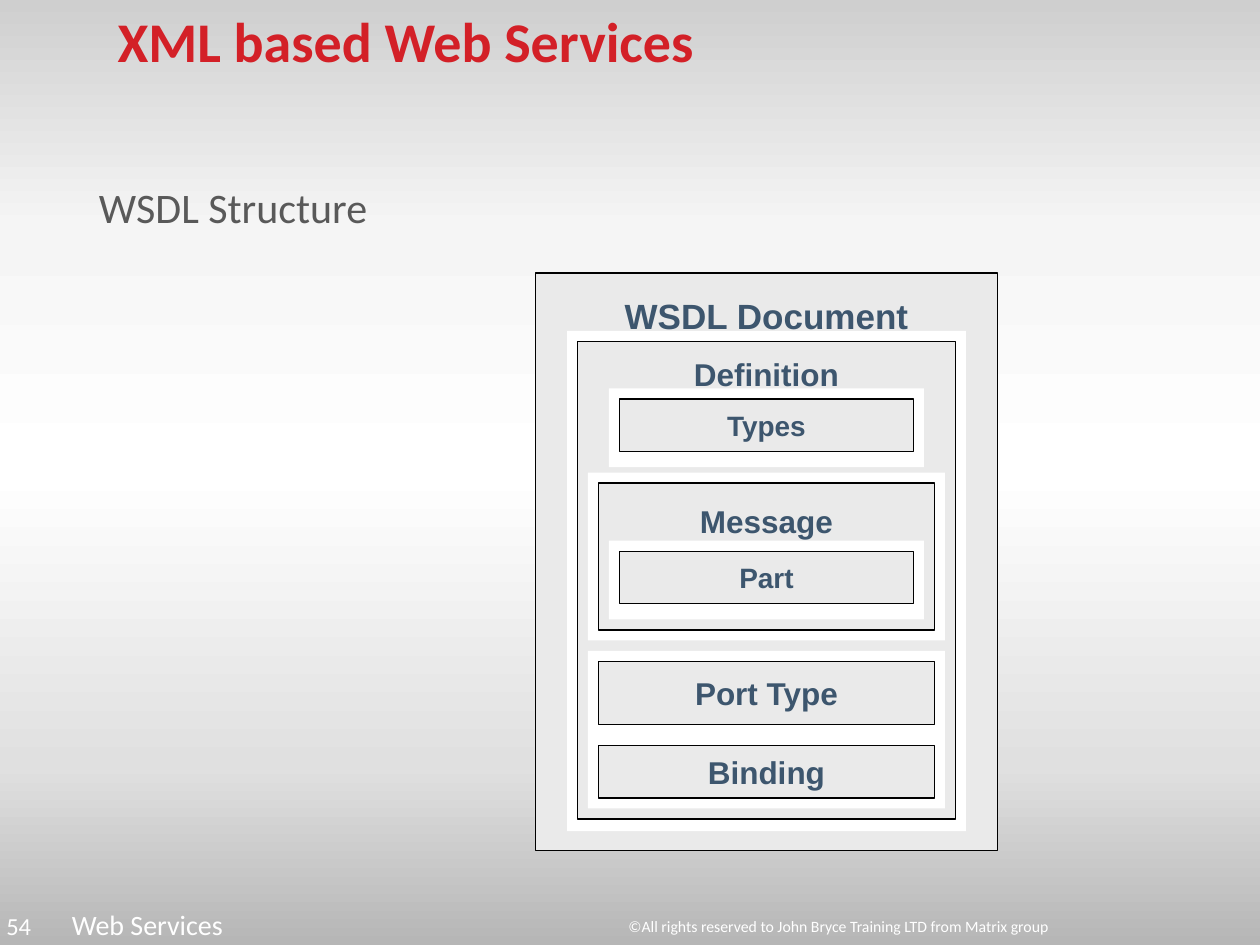
from dataclasses import dataclass
from typing import Optional

from lxml import etree
from pptx import Presentation
from pptx.dml.color import RGBColor
from pptx.enum.shapes import MSO_SHAPE
from pptx.enum.text import MSO_ANCHOR, PP_ALIGN
from pptx.oxml.ns import qn
from pptx.util import Pt

RECTANGLE = MSO_SHAPE.RECTANGLE
TOP, MIDDLE = MSO_ANCHOR.TOP, MSO_ANCHOR.MIDDLE
LEFT, CENTER = PP_ALIGN.LEFT, PP_ALIGN.CENTER

WHITE = RGBColor(0xFF, 0xFF, 0xFF)
BLACK = RGBColor(0x00, 0x00, 0x00)
RED = RGBColor(0xD3, 0x20, 0x27)
GRAY = RGBColor(0x59, 0x59, 0x59)
PANEL = RGBColor(0xEA, 0xEA, 0xEA)
SLATE = RGBColor(0x3D, 0x56, 0x6E)
BACKDROP = (
    (0, RGBColor(0xCF, 0xCF, 0xCF)),
    (24, RGBColor(0xF5, 0xF5, 0xF5)),
    (50, WHITE),
    (81, RGBColor(0xE0, 0xE0, 0xE0)),
    (100, RGBColor(0xB6, 0xB6, 0xB6)),
)

CENTER_X = 438
HALO = 6


@dataclass(frozen=True)
class Element:
    """A WSDL element; label_top places the label of one that holds others."""
    label: str
    top: float
    width: float
    height: float
    size: float
    label_top: Optional[float] = None
    halo_below: Optional[float] = HALO


@dataclass(frozen=True)
class Caption:
    text: str
    left: float
    top: float
    width: float
    height: float
    size: float
    color: RGBColor = WHITE
    anchor: MSO_ANCHOR = TOP
    spacing: float = 1.0
    inset: float = 7.2


ELEMENTS = (
    Element("WSDL Document", 156, 264, 330, 20, label_top=12.5, halo_below=None),
    Element("Definition", 195, 216, 273, 18, label_top=8, halo_below=7),
    Element("Binding", 426, 192, 30, 18),
    Element("Port Type", 378, 192, 36, 18),
    Element("Message", 276, 192, 84, 18, label_top=11),
    Element("Part", 315, 168, 30, 16, halo_below=9),
    Element("Types", 228, 168, 30, 16, halo_below=9),
)

CAPTIONS = (
    Caption("©All rights reserved to John Bryce Training LTD from Matrix group",
            352, 520.5, 320, 18, 9),
    Caption("Web Services", 34, 518.4, 380, 21.6, 16, anchor=MIDDLE, spacing=0.9),
    Caption("WSDL Structure", 49.5, 103.5, 620, 342, 24, color=GRAY, spacing=0.9),
    Caption("54", 0, 517, 48, 23, 14, inset=3.6),
)


def write(shape, text: str, *, size: float, color: RGBColor, font: str = "Calibri",
          bold: bool = False, align: PP_ALIGN = LEFT, anchor: MSO_ANCHOR = TOP,
          spacing: float = 1.0, inset: float = 7.2, inset_top: float = 3.6) -> None:
    frame = shape.text_frame
    frame.word_wrap = True
    frame.vertical_anchor = anchor
    frame.margin_left, frame.margin_right = Pt(inset), Pt(7.2)
    frame.margin_top, frame.margin_bottom = Pt(inset_top), Pt(3.6)
    para = frame.paragraphs[0]
    para.alignment = align
    para.line_spacing = spacing
    span = para.add_run()
    span.text = text
    span.font.name, span.font.size, span.font.bold = font, Pt(size), bold
    span.font.color.rgb = color


def add_rectangle(page, top: float, width: float, height: float, fill: RGBColor):
    """Add a plain rectangle on the diagram's vertical axis."""
    box = page.shapes.add_shape(RECTANGLE, Pt(CENTER_X - width / 2), Pt(top),
                                Pt(width), Pt(height))
    box.shadow.inherit = False
    box.fill.solid()
    box.fill.fore_color.rgb = fill
    box.line.fill.background()
    return box


def draw_element(page, element: Element) -> None:
    if element.halo_below is not None:
        add_rectangle(page, element.top - HALO, element.width + 2 * HALO,
                      element.height + HALO + element.halo_below, WHITE)
    box = add_rectangle(page, element.top, element.width, element.height, PANEL)
    box.line.color.rgb = BLACK
    box.line.width = Pt(0.75)
    is_leaf = element.label_top is None
    write(box, element.label, size=element.size, color=SLATE, font="Arial",
          bold=True, align=CENTER, anchor=MIDDLE if is_leaf else TOP,
          inset_top=3.6 if is_leaf else element.label_top)


def draw_caption(page, caption: Caption) -> None:
    box = page.shapes.add_textbox(Pt(caption.left), Pt(caption.top),
                                  Pt(caption.width), Pt(caption.height))
    write(box, caption.text, size=caption.size, color=caption.color,
          anchor=caption.anchor, spacing=caption.spacing, inset=caption.inset)


def paint_background(page) -> None:
    fill = page.background.fill
    fill.gradient()
    fill.gradient_angle = 270
    stops = page.element.find(".//" + qn("a:gsLst"))
    for stop in list(stops):
        stops.remove(stop)
    for percent, color in BACKDROP:
        stop = etree.SubElement(stops, qn("a:gs"), pos=str(percent * 1000))
        etree.SubElement(stop, qn("a:srgbClr"), val=str(color))


def main() -> None:
    deck = Presentation()
    deck.slide_width, deck.slide_height = Pt(720), Pt(540)
    page = deck.slides.add_slide(deck.slide_layouts[5])
    paint_background(page)

    title = page.shapes.title
    title.left, title.top, title.width, title.height = Pt(60), Pt(-5), Pt(620), Pt(61)
    write(title, "XML based Web Services", size=32, color=RED, bold=True,
          anchor=MIDDLE, spacing=0.9)
    for caption in CAPTIONS:
        draw_caption(page, caption)
    for element in ELEMENTS:
        draw_element(page, element)
    deck.save("out.pptx")


if __name__ == "__main__":
    main()
